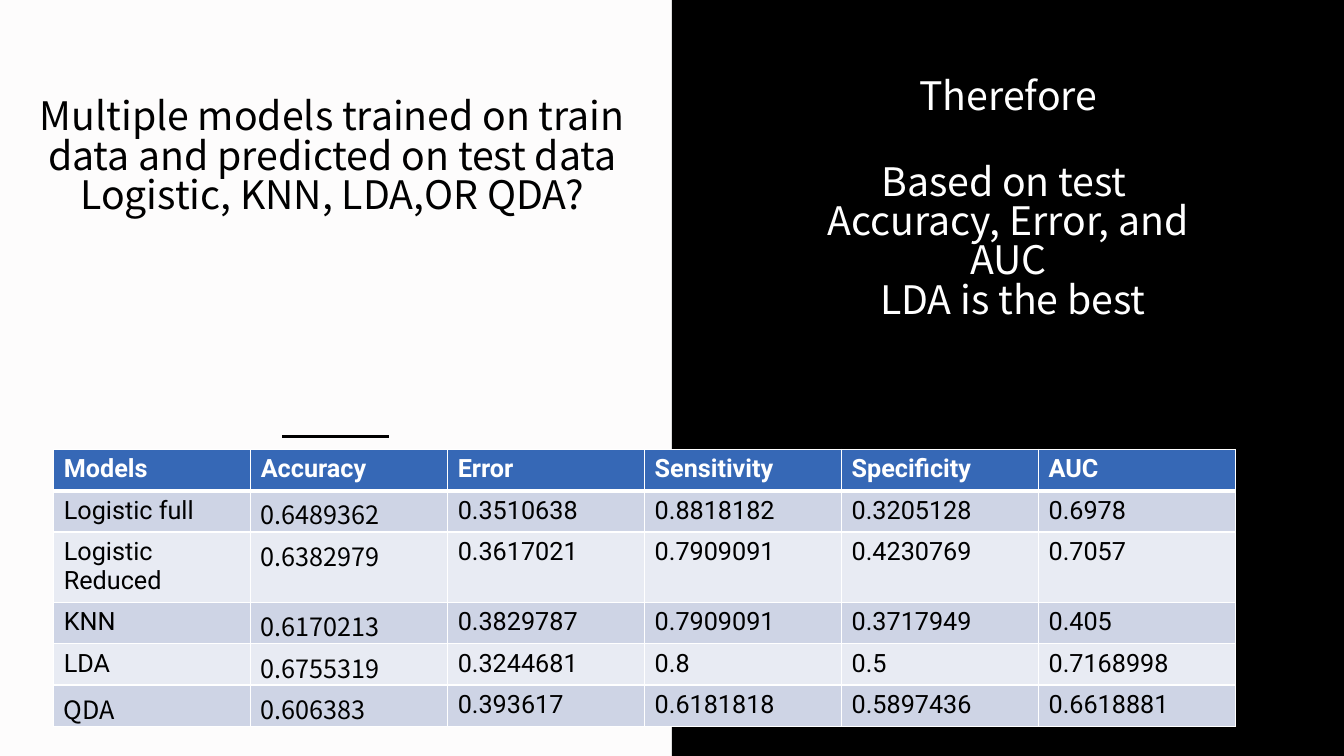
from dataclasses import dataclass

import pptx
import pptx.dml.color
import pptx.enum.dml
import pptx.enum.shapes
import pptx.enum.text
import pptx.oxml
import pptx.oxml.ns
import pptx.util
from pptx.dml.color import RGBColor
from pptx.util import Pt

BLACK = RGBColor(0x00, 0x00, 0x00)
WHITE = RGBColor(0xFF, 0xFF, 0xFF)
PAPER = RGBColor(0xFD, 0xFC, 0xFC)
HEADER_BLUE = RGBColor(0x36, 0x68, 0xB6)
BAND_DARK = RGBColor(0xCE, 0xD4, 0xE5)
BAND_LIGHT = RGBColor(0xE8, 0xEB, 0xF3)

STATEMENT_FONT = "Noto Sans CJK JP"
TABLE_FONT = "Roboto"
LINE_PITCH = 33.6

SCORES = [
    ["Models", "Accuracy", "Error", "Sensitivity", "Specificity", "AUC"],
    ["Logistic full", "0.6489362", "0.3510638", "0.8818182", "0.3205128", "0.6978"],
    ["Logistic Reduced", "0.6382979", "0.3617021", "0.7909091", "0.4230769", "0.7057"],
    ["KNN", "0.6170213", "0.3829787", "0.7909091", "0.3717949", "0.405"],
    ["LDA", "0.6755319", "0.3244681", "0.8", "0.5", "0.7168998"],
    ["QDA", "0.606383", "0.393617", "0.6181818", "0.5897436", "0.6618881"],
]


@dataclass(frozen=True)
class Line:
    text: str
    space_before: float = 0


@dataclass(frozen=True)
class Statement:
    left: float
    top: float
    width: float
    height: float
    color: RGBColor
    lines: tuple[Line, ...]


STATEMENTS = [
    Statement(14.4, 67.7, 445.7, 177.1, BLACK, (
        Line("Multiple models trained on train data and predicted on test data"),
        Line("Logistic, KNN, LDA,OR QDA?"),
    )),
    Statement(581, 53.3, 278.6, 211, WHITE, (
        Line("Therefore"),
        Line("Based on test ", LINE_PITCH),
        Line("Accuracy, Error, and AUC"),
        Line(" LDA is the best"),
    )),
]


def set_format(target: object, values: dict[str, object]) -> None:
    for name, value in values.items():
        setattr(target, name, value)


def style_font(font: object, name: str, size: float, color: RGBColor, bold: bool) -> None:
    set_format(font, {"name": name, "size": Pt(size), "bold": bold})
    font.color.rgb = color


def draw_statement(slide: object, statement: Statement) -> None:
    box = slide.shapes.add_textbox(
        Pt(statement.left), Pt(statement.top), Pt(statement.width), Pt(statement.height))
    frame = box.text_frame
    frame.word_wrap = True
    for index, line in enumerate(statement.lines):
        paragraph = frame.add_paragraph() if index else frame.paragraphs[0]
        set_format(paragraph, {
            "alignment": pptx.enum.text.PP_ALIGN.CENTER,
            "line_spacing": 0.83,
            "space_before": Pt(line.space_before),
        })
        run = paragraph.add_run()
        run.text = line.text
        style_font(run.font, STATEMENT_FONT, 28, statement.color, False)


def draw_panel(slide: object) -> None:
    panel = slide.shapes.add_shape(
        pptx.enum.shapes.MSO_SHAPE.RECTANGLE, Pt(480), Pt(0), Pt(480), Pt(540))
    panel.shadow.inherit = False
    panel.fill.solid()
    panel.fill.fore_color.rgb = BLACK
    panel.line.fill.background()


def draw_divider(slide: object) -> None:
    divider = slide.shapes.add_connector(
        pptx.enum.shapes.MSO_CONNECTOR.STRAIGHT, Pt(201.6), Pt(311.8), Pt(277.9), Pt(311.8))
    divider.line.color.rgb = BLACK
    divider.line.width = Pt(2.5)
    divider._element.spPr.append(pptx.oxml.parse_xml(
        f"<a:effectLst {pptx.oxml.ns.nsdecls('a')}/>"))


def add_borders(cell: object, widths: dict[str, float]) -> None:
    properties = cell._tc.get_or_add_tcPr()
    for position, (side, width) in enumerate(widths.items()):
        properties.insert(position, pptx.oxml.parse_xml(
            f'<a:ln{side} {pptx.oxml.ns.nsdecls("a")} w="{Pt(width)}">'
            f'<a:solidFill><a:srgbClr val="{WHITE}"/></a:solidFill></a:ln{side}>'))


def draw_scores(slide: object) -> None:
    table = slide.shapes.add_table(
        len(SCORES), len(SCORES[0]), Pt(38.4), Pt(321), Pt(844.2), Pt(177)).table
    for row_index, row in enumerate(SCORES):
        is_header = row_index == 0
        band = HEADER_BLUE if is_header else BAND_DARK if row_index % 2 else BAND_LIGHT
        for column_index, value in enumerate(row):
            cell = table.cell(row_index, column_index)
            is_wide_set = value == "QDA" or (column_index == 1 and not is_header)
            cell.fill.solid()
            cell.fill.fore_color.rgb = band
            add_borders(cell, {
                "L": 1,
                "R": 1,
                "T": 3 if row_index == 1 else 1,
                "B": 3 if is_header else 1,
            })
            if is_wide_set:
                cell.margin_bottom = Pt(0)
            run = cell.text_frame.paragraphs[0].add_run()
            run.text = value
            style_font(run.font, STATEMENT_FONT if is_wide_set else TABLE_FONT, 18,
                       WHITE if is_header else BLACK, is_header)


def main() -> None:
    deck = pptx.Presentation()
    set_format(deck, {"slide_width": Pt(960), "slide_height": Pt(540)})
    slide = deck.slides.add_slide(deck.slide_layouts[6])
    slide.background.fill.solid()
    slide.background.fill.fore_color.rgb = PAPER
    draw_panel(slide)
    draw_divider(slide)
    for statement in STATEMENTS:
        draw_statement(slide, statement)
    draw_scores(slide)
    deck.save("out.pptx")


if __name__ == "__main__":
    main()
